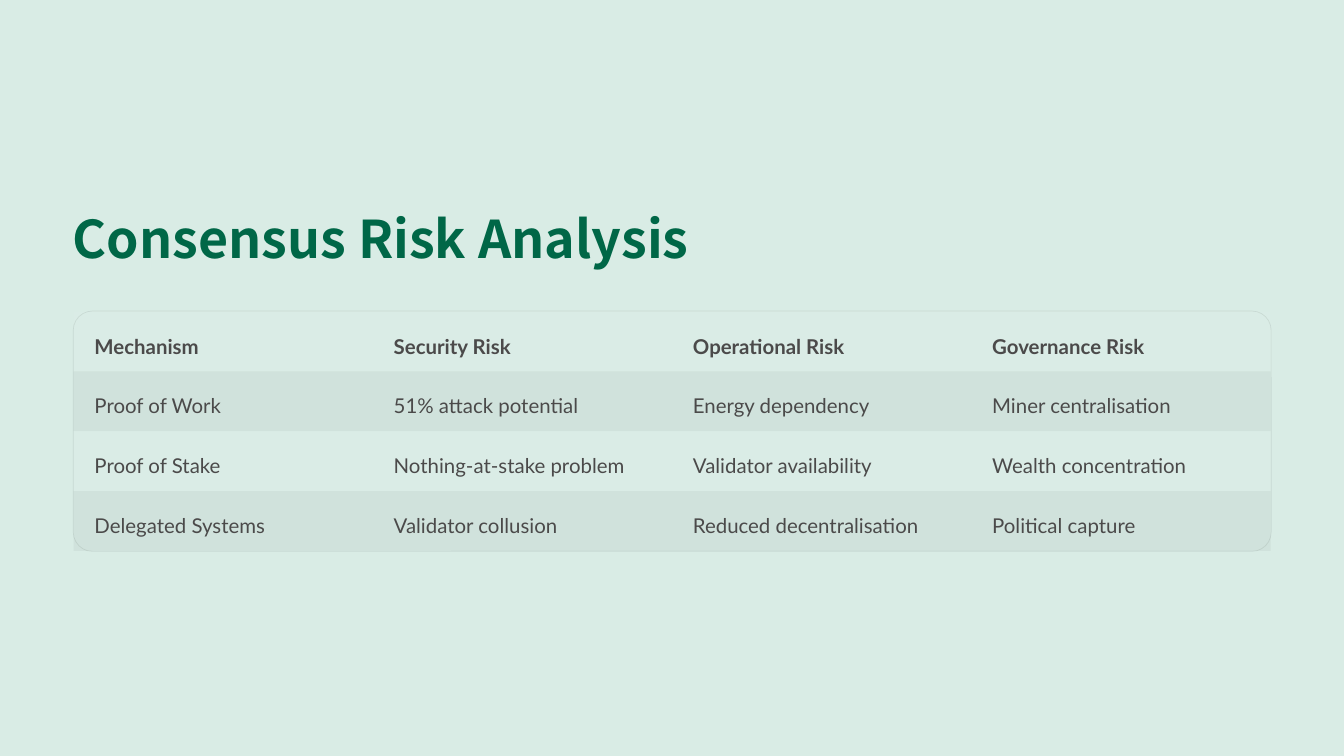
"""Build the consensus risk slide."""
import pptx
import pptx.dml.color
import pptx.enum.shapes
import pptx.oxml.ns
import pptx.util
from lxml import etree

Pt = pptx.util.Pt
qn = pptx.oxml.ns.qn
KINDS = pptx.enum.shapes.MSO_SHAPE

TITLE = "Consensus Risk Analysis"
ROWS = [
    ("Mechanism", "Security Risk", "Operational Risk", "Governance Risk"),
    ("Proof of Work", "51% attack potential", "Energy dependency", "Miner centralisation"),
    ("Proof of Stake", "Nothing-at-stake problem", "Validator availability", "Wealth concentration"),
    ("Delegated Systems", "Validator collusion", "Reduced decentralisation", "Political capture"),
]
BLACK, WHITE, MINT, GREEN, INK = "000000", "FFFFFF", "E5F9F2", "006747", "4B4A4A"
BANDS = WHITE, BLACK
WIDE, HIGH = 1152, 648
LEFT, TOP, COL, ROW, GAP = 63.2, 267, 256.5, 51.3, 0.4
NO_GRID = "{2D5ABB26-0587-4C30-8999-92F81FD0307C}"


def paint(color, code):
    color.rgb = pptx.dml.color.RGBColor.from_string(code)


def fill(item, code):
    item.fill.solid()
    paint(item.fill.fore_color, code)


def fade(node, share):
    tint = node.find(".//" + qn("a:srgbClr"))
    etree.SubElement(tint, qn("a:alpha")).set("val", str(share * 1000))


def write(frame, text, face, size, code, bold, line):
    frame.text = text
    para = frame.paragraphs[0]
    para.line_spacing = Pt(line)
    font = para.font
    font.name, font.size, font.bold = face, Pt(size), bold
    paint(font.color, code)


def add_shape(slide, kind, *area):
    shape = slide.shapes.add_shape(kind, *map(Pt, area))
    shape.shadow.inherit = False
    return shape


def add_pane(slide, code, share, *area):
    pane = add_shape(slide, KINDS.RECTANGLE, *area)
    fill(pane, code)
    fade(pane.fill._xPr, share)
    pane.line.fill.background()


def add_title(slide):
    box = slide.shapes.add_textbox(Pt(62.4), Pt(175), Pt(555), Pt(56))
    frame = box.text_frame
    frame.margin_left = frame.margin_right = 0
    frame.margin_top = frame.margin_bottom = 0
    write(frame, TITLE, "Noto Sans CJK SC", 44.5, GREEN, True, 55.5)


def add_frame(slide, wide, high):
    frame = add_shape(slide, KINDS.ROUNDED_RECTANGLE,
                      LEFT - GAP, TOP - GAP, wide + 2 * GAP, high + 2 * GAP)
    frame.adjustments[0] = 0.08
    frame.fill.background()
    frame.line.width = Pt(0.6)
    fill(frame.line, BLACK)
    fade(frame.line._get_or_add_ln(), 8)


def add_grid(slide, wide, high):
    count = len(ROWS), len(ROWS[0])
    table = slide.shapes.add_table(*count, Pt(LEFT), Pt(TOP), Pt(wide), Pt(high)).table
    table.horz_banding = False
    table._tbl.tblPr.find(qn("a:tableStyleId")).text = NO_GRID
    for col in table.columns:
        col.width = Pt(COL)
    for i, texts in enumerate(ROWS):
        table.rows[i].height = Pt(ROW)
        for j, text in enumerate(texts):
            cell = table.cell(i, j)
            cell.margin_left, cell.margin_right = Pt(17.8), Pt(17.8)
            cell.margin_top, cell.margin_bottom = Pt(11.7), Pt(11)
            write(cell.text_frame, text, "Lato", 17.5, INK, i == 0, 28.5)
            cell.fill.background()


def main():
    deck = pptx.Presentation()
    deck.slide_width, deck.slide_height = Pt(WIDE), Pt(HIGH)
    slide = deck.slides.add_slide(deck.slide_layouts[6])
    fill(slide.background, BLACK)
    wide, high = COL * len(ROWS[0]), ROW * len(ROWS)
    add_pane(slide, MINT, 95, 0, 0, WIDE, HIGH)
    add_title(slide)
    add_frame(slide, wide, high)
    for i in range(len(ROWS)):
        add_pane(slide, BANDS[i % 2], 4, LEFT, TOP + i * ROW, wide, ROW)
    add_grid(slide, wide, high)
    deck.save("out.pptx")


if __name__ == "__main__":
    main()
